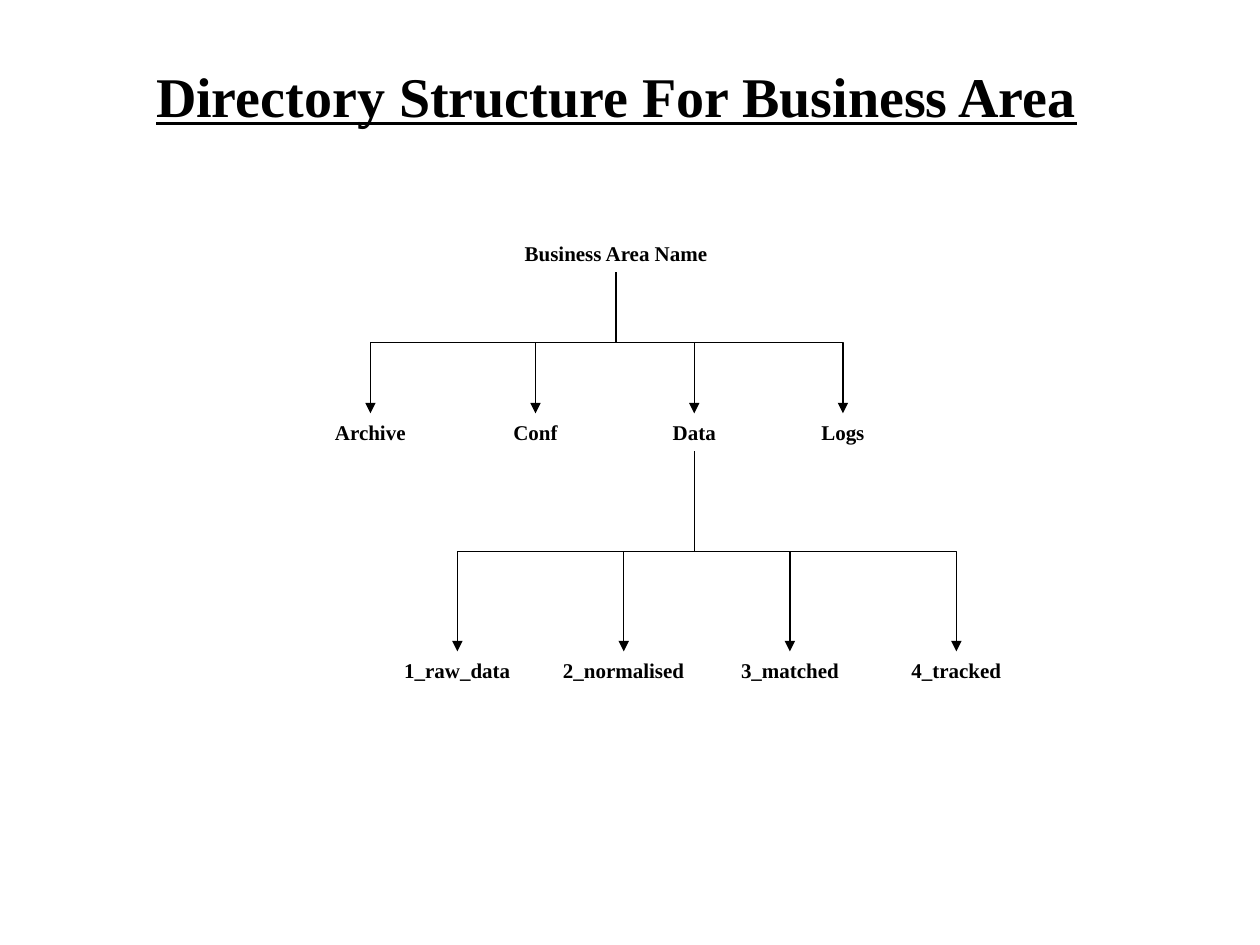
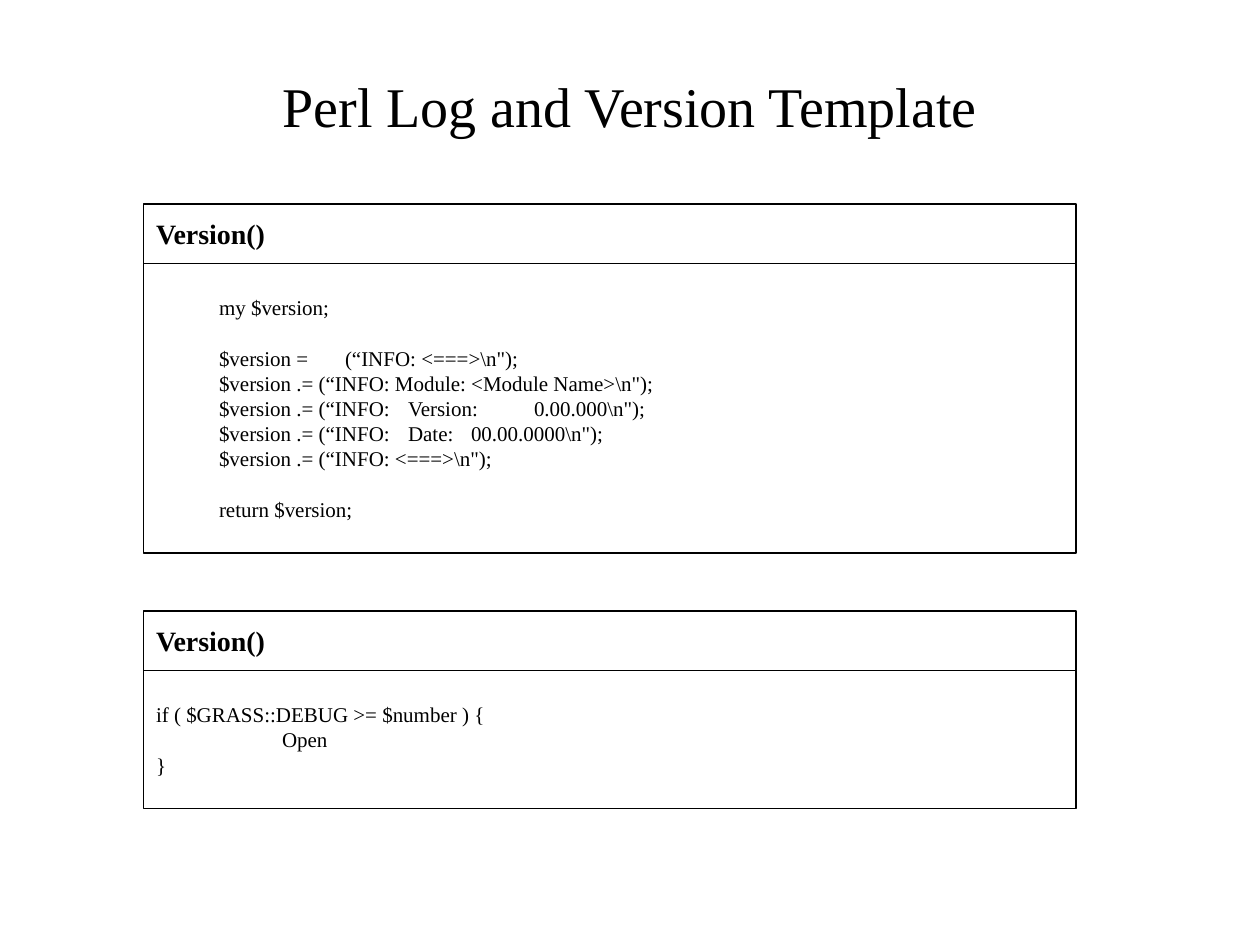
from dataclasses import dataclass
from typing import NamedTuple

from lxml import etree
from pptx import Presentation
from pptx import util as u
from pptx.dml.color import RGBColor
from pptx.enum import shapes, text
from pptx.oxml import ns


@dataclass(frozen=True)
class Theme:
    font: str = "Times New Roman"
    ink: RGBColor = RGBColor(0, 0, 0)
    title_size: u.Pt = u.Pt(32)
    heading_size: u.Pt = u.Pt(16)
    body_size: u.Pt = u.Pt(12)
    code_line: u.Pt = u.Pt(14.4)
    line_width: u.Pt = u.Pt(0.75)


THEME = Theme()


class Node(NamedTuple):
    label: str
    center: float
    width: float


class CodeLine(NamedTuple):
    code: str
    indent: float = 0
    gap_before: bool = False


class Panel(NamedTuple):
    heading: str
    top: float
    body_height: float
    lines: list[CodeLine]
    tabs: tuple[float, ...] = ()


# Directory tree
ROOT = Node("Business Area Name", 4.89, 1.66)
FOLDERS = [
    Node("Archive", 2.94, 0.76),
    Node("Conf", 4.25, 0.55),
    Node("Data", 5.51, 0.54),
    Node("Logs", 6.69, 0.54),
]
STAGES = [
    Node(label, 3.63 + 1.32 * index, width)
    for index, (label, width) in enumerate(
        [("1_raw_data", 1.04), ("2_normalised", 1.16),
         ("3_matched", 0.98), ("4_tracked", 0.91)])
]
ROOT_TOP, FOLDER_TOP, STAGE_TOP, NODE_HEIGHT = 1.86, 3.28, 5.17, 0.3

# Code panels
PANEL_LEFT, PANEL_WIDTH, HEADING_HEIGHT = 1.14, 7.4, 0.47
PANELS = [
    Panel("Version()", 1.62, 2.3, [
        CodeLine("my $version;", 0.5),
        CodeLine("$version =\t(“INFO: <===>\\n\");", 0.5, True),
        CodeLine("$version .= (“INFO: Module: <Module Name>\\n\");", 0.5),
        CodeLine("$version .= (“INFO:\tVersion:\t0.00.000\\n\");", 0.5),
        CodeLine("$version .= (“INFO:\tDate:\t00.00.0000\\n\");", 0.5),
        CodeLine("$version .= (“INFO: <===>\\n\");", 0.5),
        CodeLine("return $version;", 0.5, True),
    ], tabs=(0.79, 1.6, 2, 3)),
    Panel("Version()", 4.85, 1.1, [
        CodeLine("if ( $GRASS::DEBUG >= $number ) {"),
        CodeLine("Open", 1),
        CodeLine("}"),
    ]),
]


def write(frame, words: str, *, size=THEME.body_size, bold=False, underline=False,
          align=text.PP_ALIGN.LEFT, indent: float = 0, before=None, spacing=None,
          tabs: tuple[float, ...] = ()) -> None:
    """Fill the first empty paragraph of a frame, or add a new one."""
    first = frame.paragraphs[0]
    para = frame.add_paragraph() if first.runs else first
    para.alignment = align
    if before is not None:
        para.space_before = before
    if spacing is not None:
        para.line_spacing = spacing
    span = para.add_run()
    span.text = words
    font = span.font
    font.name, font.size, font.bold = THEME.font, size, bold
    font.underline = underline
    font.color.rgb = THEME.ink
    properties = para._p.get_or_add_pPr()
    if indent:
        properties.set("marL", str(u.Inches(indent)))
        properties.set("indent", "0")
    if tabs:
        stops = etree.SubElement(properties, ns.qn("a:tabLst"))
        for position in tabs:
            etree.SubElement(stops, ns.qn("a:tab"),
                             pos=str(u.Inches(position)), algn="l")


def add_text(page, words: str, left: float, top: float, width: float,
             height: float, *, wrap=False, anchor=text.MSO_ANCHOR.TOP, **style):
    box = page.shapes.add_textbox(
        u.Inches(left), u.Inches(top), u.Inches(width), u.Inches(height))
    box.text_frame.word_wrap = wrap
    box.text_frame.vertical_anchor = anchor
    write(box.text_frame, words, **style)
    return box


def add_node(page, node: Node, top: float):
    return add_text(page, node.label, node.center - node.width / 2, top,
                    node.width, NODE_HEIGHT, bold=True,
                    align=text.PP_ALIGN.CENTER)


def add_branch(page, parent, child) -> None:
    """Run an elbow arrow from the parent's bottom to the child's top."""
    start_x, start_y = parent.left + parent.width // 2, parent.top + parent.height
    end_x, end_y = child.left + child.width // 2, child.top
    branch = page.shapes.add_connector(
        shapes.MSO_CONNECTOR.ELBOW, start_x, start_y, end_x, end_y)
    branch.begin_connect(parent, 0 + 2)
    branch.end_connect(child, 0)
    branch.line.color.rgb = THEME.ink
    branch.line.width = THEME.line_width

    # Turn the elbow so that it leaves and arrives vertically
    drop, reach = end_y - start_y, abs(end_x - start_x)
    branch.left = (start_x + end_x - drop) // 2
    branch.top = (start_y + end_y - reach) // 2
    branch.width, branch.height = drop, reach
    rightward = end_x > start_x
    properties = branch.element.spPr
    frame = properties.find(ns.qn("a:xfrm"))
    frame.set("rot", str((270 if rightward else 90) * 60000))
    frame.set("flipH", "1" if rightward else "0")
    frame.set("flipV", "0")

    etree.SubElement(properties.find(ns.qn("a:ln")), ns.qn("a:tailEnd"), type="triangle")
    etree.SubElement(properties, ns.qn("a:effectLst"))


def add_frame(group, top: float, height: float, anchor):
    box = group.shapes.add_shape(
        shapes.MSO_SHAPE.RECTANGLE, u.Inches(PANEL_LEFT), u.Inches(top),
        u.Inches(PANEL_WIDTH), u.Inches(height))
    box.shadow.inherit = False
    box.fill.background()
    box.line.color.rgb = THEME.ink
    box.line.width = THEME.line_width
    box.text_frame.word_wrap = True
    box.text_frame.vertical_anchor = anchor
    return box.text_frame


def add_panel(page, panel: Panel) -> None:
    group = page.shapes.add_group_shape()
    body = add_frame(group, panel.top + HEADING_HEIGHT, panel.body_height,
                     text.MSO_ANCHOR.TOP)
    body.margin_top = u.Inches(0.25)
    for line in panel.lines:
        write(body, line.code, indent=line.indent, tabs=panel.tabs,
              spacing=THEME.code_line,
              before=THEME.code_line if line.gap_before else u.Pt(0))
    heading = add_frame(group, panel.top, HEADING_HEIGHT, text.MSO_ANCHOR.MIDDLE)
    write(heading, panel.heading, size=THEME.heading_size, bold=True)


def build_directory_page(page) -> None:
    add_text(page, "Directory Structure For Business Area", 1.14, 0.44, 7.56, 0.64,
             size=THEME.title_size, bold=True, underline=True)
    root = add_node(page, ROOT, ROOT_TOP)
    folders = {node.label: add_node(page, node, FOLDER_TOP) for node in FOLDERS}
    stages = [add_node(page, node, STAGE_TOP) for node in STAGES]
    for folder in folders.values():
        add_branch(page, root, folder)
    for stage in stages:
        add_branch(page, folders["Data"], stage)


def build_template_page(page) -> None:
    add_text(page, "Perl Log and Version Template", 0.75, 0.21, 8.5, 1.25,
             wrap=True, anchor=text.MSO_ANCHOR.MIDDLE,
             size=THEME.title_size, align=text.PP_ALIGN.CENTER)
    for panel in PANELS:
        add_panel(page, panel)


def main() -> None:
    deck = Presentation()
    deck.slide_width, deck.slide_height = u.Inches(10), u.Inches(7.5)
    blank = deck.slide_layouts[6]
    for build in (build_directory_page, build_template_page):
        build(deck.slides.add_slide(blank))
    deck.save("out.pptx")


if __name__ == "__main__":
    main()
